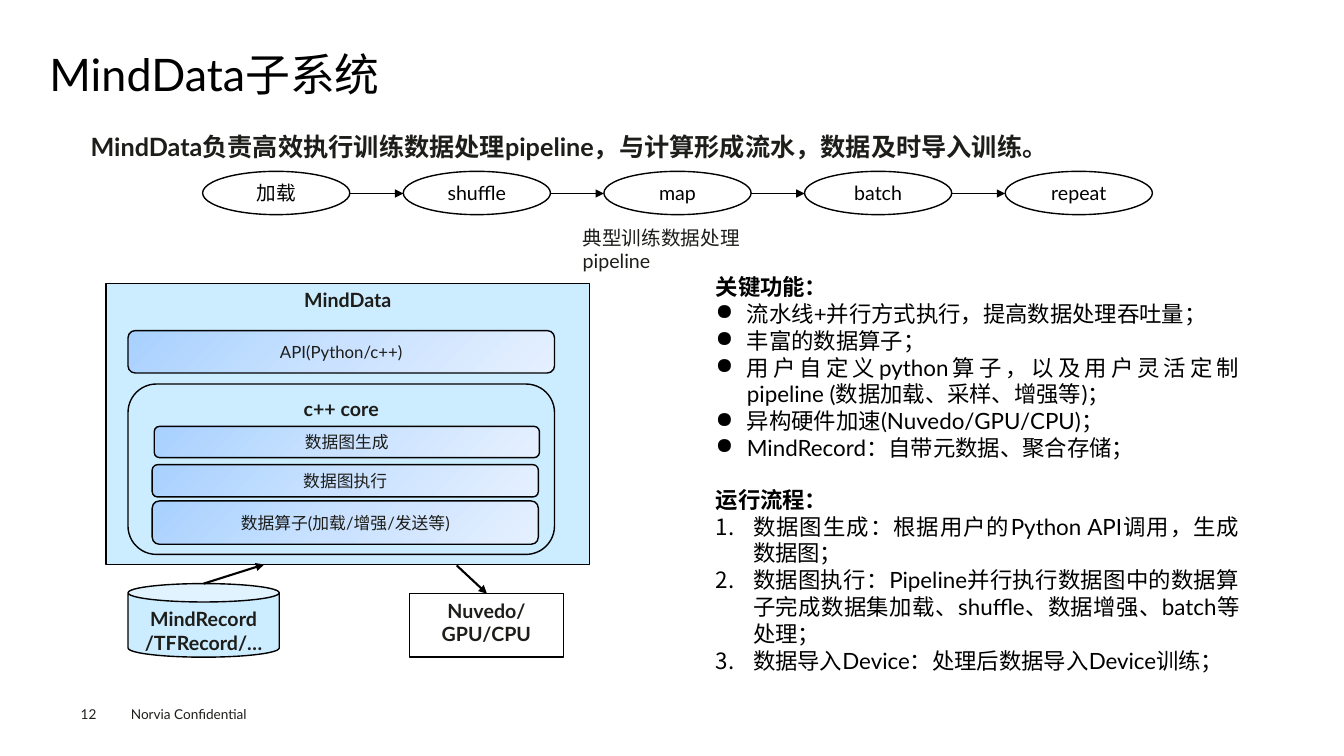
"""Builds the slide on the MindData subsystem, its pipeline, layers and workflow."""
from copy import deepcopy
from lxml.etree import SubElement
from pptx import Presentation
from pptx.dml.color import RGBColor
from pptx.enum.shapes import MSO_CONNECTOR, MSO_SHAPE
from pptx.enum.text import MSO_ANCHOR, PP_ALIGN
from pptx.oxml.ns import qn
from pptx.util import Inches, Pt

color = RGBColor.from_string
BLACK, INK, SKY, WHITE = "000000", "1D1D1A", "CCECFF", "FFFFFF"
STOPS = [(0, "A8D1FF"), (0.5, "CAE2FF"), (1, "E5F0FF")]

deck = Presentation()
deck.slide_width, deck.slide_height = Inches(13.33), Inches(7.5)
shapes = deck.slides.add_slide(deck.slide_layouts[6]).shapes


def write(text, box, kind=None, size=14, ink=INK, bold=False, align=PP_ALIGN.LEFT,
          anchor=MSO_ANCHOR.TOP, pad=True, space=1.0, mark=None, indent=0):
    """Place text in a text box or preset shape; with a mark, line one is a bold heading."""
    place = [Inches(n) for n in box]
    shape = shapes.add_shape(kind, *place) if kind else shapes.add_textbox(*place)
    if kind:
        shape.shadow.inherit = False
        shape.line.color.rgb = color(BLACK)
        shape.line.width = Pt(1)
    frame = shape.text_frame
    frame.word_wrap = True
    frame.vertical_anchor = anchor
    if not pad:
        frame.margin_left = frame.margin_right = frame.margin_top = frame.margin_bottom = 0
    for i, line in enumerate(text.split("\n")):
        para = frame.paragraphs[0] if i == 0 else frame.add_paragraph()
        para.alignment = align
        para.line_spacing = space
        if mark and i:
            props = para._p.get_or_add_pPr()
            props.set("marL", str(Inches(indent)))
            props.set("indent", str(-Inches(indent)))
            tag, key, value = mark
            SubElement(props, qn(tag)).set(key, value)
        run = para.add_run()
        run.text = line
        run.font.name = "Lato"
        run.font.size = Pt(size)
        run.font.bold = i == 0 if mark else bold
        run.font.color.rgb = color(ink)
    return shape


def arrow(x1, y1, x2, y2, width):
    """Draw a black line with a triangle at its end."""
    line = shapes.add_connector(MSO_CONNECTOR.STRAIGHT, *[Inches(n) for n in (x1, y1, x2, y2)])
    line.line.color.rgb = color(BLACK)
    line.line.width = Pt(width)
    SubElement(line.line._get_or_add_ln(), qn("a:tailEnd")).set("type", "triangle")
    SubElement(line._element.spPr, qn("a:effectLst"))


write("Norvia Confidential", (1.2, 6.95, 1.6, 0.27), size=9.7)
write("12", (0.8, 7, 0.55, 0.16), size=9.7, pad=False)
write("MindData子系统", (0.49, 0.49, 12.35, 0.54), size=32, ink=BLACK, pad=False,
      anchor=MSO_ANCHOR.MIDDLE, space=0.9)
write("MindData负责高效执行训练数据处理pipeline，与计算形成流水，数据及时导入训练。",
      (0.8, 1.25, 11.74, 0.4), size=18, bold=True)

STEP, WIDE = 1.99, 1.46
for i, name in enumerate(["加载", "shuffle", "map", "batch", "repeat"]):
    left = 2.01 + i * STEP
    oval = write(name, (left, 1.7, WIDE, 0.43), MSO_SHAPE.OVAL, ink=BLACK,
                 align=PP_ALIGN.CENTER, anchor=MSO_ANCHOR.MIDDLE)
    oval.fill.background()
    if i:
        arrow(left - STEP + WIDE, 1.92, left, 1.92, 0.5)
write("典型训练数据处理pipeline", (5.68, 2.19, 2, 0.58))

features = """关键功能：
流水线+并行方式执行，提高数据处理吞吐量；
丰富的数据算子；
用户自定义python算子，以及用户灵活定制pipeline (数据加载、采样、增强等)；
异构硬件加速(Nuvedo/GPU/CPU)；
MindRecord：自带元数据、聚合存储；"""
steps = """运行流程：
数据图生成：根据用户的Python API调用，生成数据图；
数据图执行：Pipeline并行执行数据图中的数据算子完成数据集加载、shuffle、数据增强、batch等处理；
数据导入Device：处理后数据导入Device训练；"""
for text, top, high, mark, indent in [
    (features, 2.66, 1.99, ("a:buChar", "char", "●"), 0.31),
    (steps, 4.77, 2.08, ("a:buAutoNum", "type", "arabicPeriod"), 0.37),
]:
    write(text, (7, top, 5.39, high), size=16, ink=BLACK, align=PP_ALIGN.JUSTIFY,
          mark=mark, indent=indent)

for text, box, kind, fill in [
    ("MindData", (1.05, 2.81, 4.8, 2.79), MSO_SHAPE.RECTANGLE, SKY),
    ("c++ core", (1.27, 3.81, 4.23, 1.69), MSO_SHAPE.ROUNDED_RECTANGLE, SKY),
    ("MindRecord\n/TFRecord/…", (1.27, 5.79, 1.5, 0.73), MSO_SHAPE.CAN, SKY),
    ("Nuvedo/GPU/CPU", (4.06, 5.89, 1.53, 0.63), MSO_SHAPE.RECTANGLE, WHITE),
]:
    part = write(text, box, kind, bold=True, align=PP_ALIGN.CENTER)
    part.fill.solid()
    part.fill.fore_color.rgb = color(fill)

for text, box in [
    ("API(Python/c++)", (1.27, 3.28, 4.23, 0.42)),
    ("数据图生成", (1.53, 4.23, 3.82, 0.31)),
    ("数据图执行", (1.51, 4.61, 3.83, 0.32)),
    ("数据算子(加载/增强/发送等)", (1.51, 4.97, 3.83, 0.43)),
]:
    layer = write(text, box, MSO_SHAPE.ROUNDED_RECTANGLE, size=12,
                  align=PP_ALIGN.CENTER, anchor=MSO_ANCHOR.MIDDLE)
    layer.fill.gradient()
    layer.fill.gradient_angle = 315
    ramp = layer._element.spPr.find(".//" + qn("a:gsLst"))
    ramp.append(deepcopy(ramp[0]))
    for stop, (spot, tint) in zip(layer.fill.gradient_stops, STOPS):
        stop.position = spot
        stop.color.rgb = color(tint)

arrow(2.02, 5.79, 2.62, 5.6, 1.5)
arrow(4.53, 5.61, 4.83, 5.89, 1.5)

deck.save("out.pptx")
